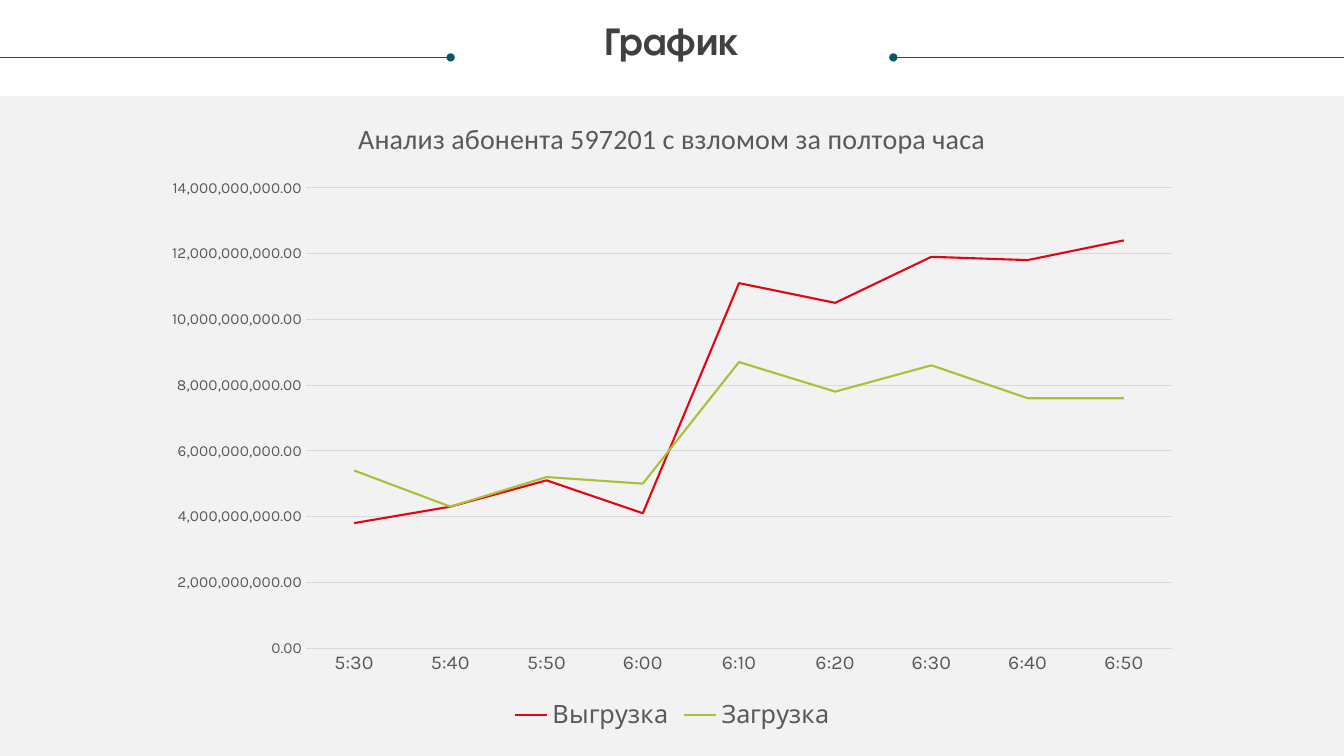
from typing import NamedTuple

from lxml.etree import SubElement
from pptx import Presentation
from pptx.chart.data import CategoryChartData
from pptx.dml.color import RGBColor
from pptx.enum.chart import XL_CHART_TYPE, XL_LEGEND_POSITION, XL_TICK_MARK
from pptx.enum.shapes import MSO_CONNECTOR, MSO_SHAPE
from pptx.enum.text import MSO_ANCHOR, MSO_AUTO_SIZE, PP_ALIGN
from pptx.oxml.ns import qn
from pptx.util import Inches, Pt

WHITE = RGBColor(0xFF, 0xFF, 0xFF)
PANEL = RGBColor(0xF2, 0xF2, 0xF2)
TEAL = RGBColor(0x08, 0x57, 0x64)
DARK = RGBColor(0x40, 0x40, 0x40)
GREY = RGBColor(0x59, 0x59, 0x59)
GRID = RGBColor(0xD9, 0xD9, 0xD9)
RED = RGBColor(0xE2, 0x06, 0x13)
GREEN = RGBColor(0xA9, 0xC0, 0x38)

WIDTH, HEIGHT = Inches(13.33), Inches(7.5)
BILLION = 10 ** 9


class Rule(NamedTuple):
    """Horizontal line, in shares of the slide's width."""
    start: float
    end: float
    dot: str


class Traffic(NamedTuple):
    name: str
    billions: tuple
    color: RGBColor


RULES = (Rule(0.6647, 1, "headEnd"), Rule(0, 0.3353, "tailEnd"))
TRAFFIC = (
    Traffic("Выгрузка", (3.8, 4.3, 5.1, 4.1, 11.1, 10.5, 11.9, 11.8, 12.4), RED),
    Traffic("Загрузка", (5.4, 4.3, 5.2, 5.0, 8.7, 7.8, 8.6, 7.6, 7.6), GREEN),
)
TIMES = [f"{m // 60}:{m % 60:02}" for m in range(330, 411, 10)]


def x(share: float) -> int:
    return round(WIDTH * share)


def y(share: float) -> int:
    return round(HEIGHT * share)


def set_font(font, name: str, size: float, color: RGBColor, bold: bool = False) -> None:
    font.name, font.size, font.bold = name, Pt(size), bold
    font.color.rgb = color


def set_line(line, color: RGBColor, width: float) -> None:
    line.color.rgb = color
    line.width = Pt(width)


def add_rule(slide, rule: Rule) -> None:
    level = y(0.076)
    line = slide.shapes.add_connector(
        MSO_CONNECTOR.STRAIGHT, x(rule.start), level, x(rule.end), level)
    set_line(line.line, TEAL, 0.5)
    SubElement(line.line._get_or_add_ln(), qn("a:" + rule.dot), type="oval")
    SubElement(line._element.spPr, qn("a:effectLst"))


def add_panel(slide) -> None:
    top = y(0.127)
    sp = slide.shapes.add_shape(MSO_SHAPE.RECTANGLE, 0, top, WIDTH, HEIGHT - top)
    sp.shadow.inherit = False
    sp.fill.solid()
    sp.fill.fore_color.rgb = PANEL
    sp.line.fill.background()
    # Keep the title in front of the panel
    sp._element.addnext(slide.shapes.title._element)


def format_title(slide, text: str) -> None:
    sp = slide.shapes.title
    sp.left, sp.top, sp.width, sp.height = x(0.019), y(0.028), x(0.962), y(0.113)
    tf = sp.text_frame
    tf.text = text
    tf.word_wrap, tf.auto_size = True, MSO_AUTO_SIZE.NONE
    tf.vertical_anchor = MSO_ANCHOR.TOP
    tf.margin_left = tf.margin_right = tf.margin_top = tf.margin_bottom = 0
    p = tf.paragraphs[0]
    p.alignment, p.line_spacing = PP_ALIGN.CENTER, 0.9
    set_font(p.runs[0].font, "TeX Gyre Adventor", 28, DARK, True)


def add_traffic_chart(slide, title: str) -> None:
    data = CategoryChartData(number_format="#,##0.00")
    data.categories = TIMES
    for traffic in TRAFFIC:
        data.add_series(traffic.name, [round(b * BILLION) for b in traffic.billions])
    chart = slide.shapes.add_chart(
        XL_CHART_TYPE.LINE, x(0.1125), y(0.127), x(0.775), y(0.845), data).chart
    chart.font.name, chart.font.size = "Karla", Pt(10)

    # Title and legend
    chart.has_title = True
    tf = chart.chart_title.text_frame
    tf.text = title
    set_font(tf.paragraphs[0].runs[0].font, "Calibri", 20, GREY)
    chart.chart_title.include_in_layout = False
    chart.has_legend = True
    chart.legend.position = XL_LEGEND_POSITION.BOTTOM
    chart.legend.include_in_layout = False
    set_font(chart.legend.font, "Karla", 18, GREY)

    # Axes
    times, volume = chart.category_axis, chart.value_axis
    for axis, size in ((times, 14), (volume, 11)):
        axis.major_tick_mark = axis.minor_tick_mark = XL_TICK_MARK.NONE
        set_font(axis.tick_labels.font, "Karla", size, GREY)
    set_line(times.format.line, GRID, 0.75)
    volume.format.line.fill.background()
    volume.minimum_scale, volume.maximum_scale = 0, 14 * BILLION
    volume.major_unit = 2 * BILLION
    volume.tick_labels.number_format = "#,##0.00"
    volume.tick_labels.number_format_is_linked = False
    set_line(volume.major_gridlines.format.line, GRID, 0.75)

    # Lines
    plot = chart.plots[0]
    plot.vary_by_categories = False
    for series, traffic in zip(plot.series, TRAFFIC):
        series.smooth = False
        set_line(series.format.line, traffic.color, 1.5)


def main() -> None:
    prs = Presentation()
    prs.slide_width, prs.slide_height = WIDTH, HEIGHT
    slide = prs.slides.add_slide(prs.slide_layouts[5])
    slide.background.fill.solid()
    slide.background.fill.fore_color.rgb = WHITE

    format_title(slide, "График")
    add_panel(slide)
    for rule in RULES:
        add_rule(slide, rule)
    add_traffic_chart(slide, "Анализ абонента 597201 с взломом за полтора часа")
    prs.save("out.pptx")


if __name__ == "__main__":
    main()
